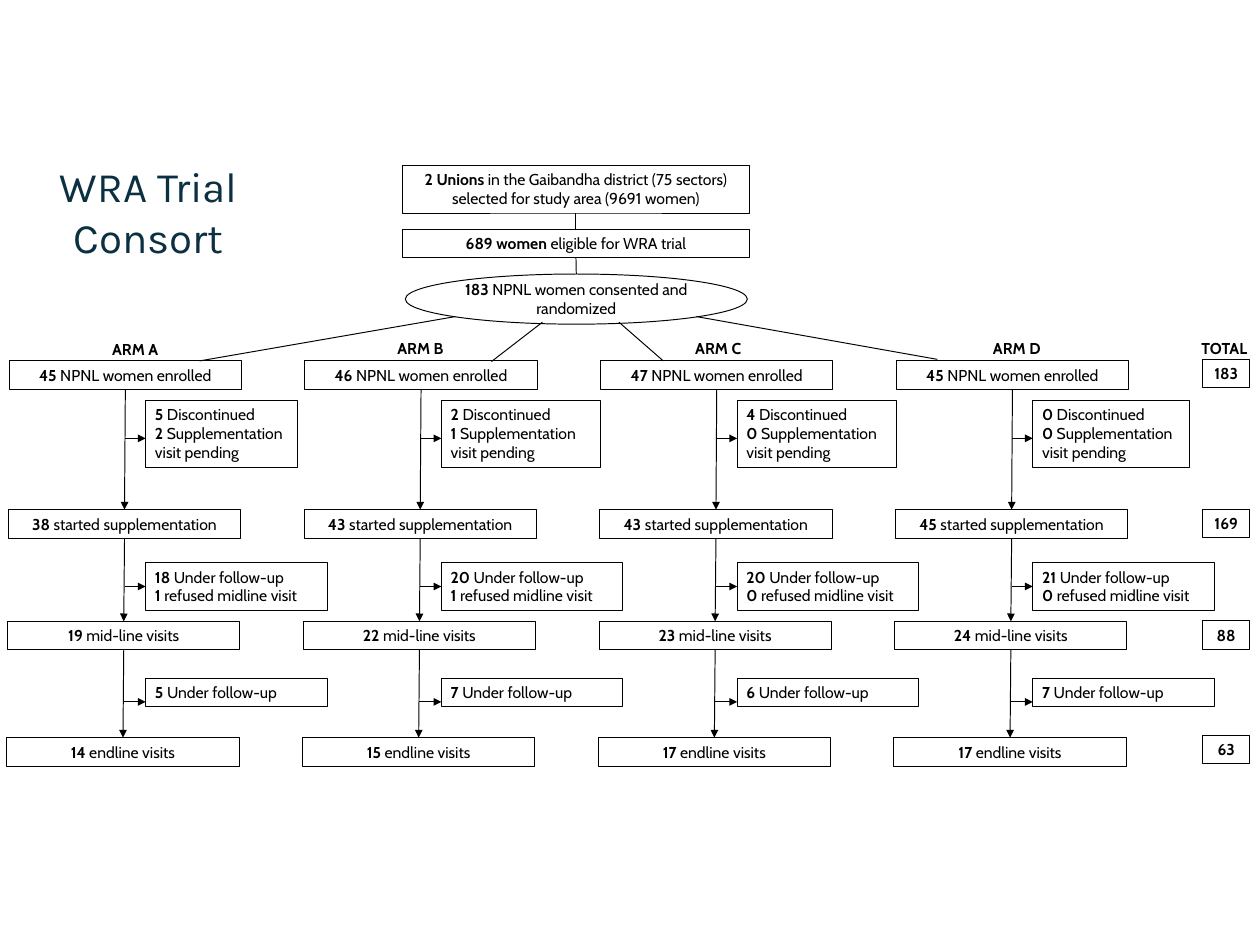
import pptx
import pptx.util
import pptx.dml.color
import pptx.enum.shapes
import pptx.enum.text
import pptx.oxml.ns
import lxml.etree

Pt = pptx.util.Pt
SHAPE = pptx.enum.shapes.MSO_SHAPE
ALIGN = pptx.enum.text.PP_ALIGN
ANCHOR = pptx.enum.text.MSO_ANCHOR
FIT = pptx.enum.text.MSO_AUTO_SIZE
COLORS = {"ink": "000000", "title": "0B3041"}
TOP, LEFT, BOTTOM = 0, 1, 2


def rgb(name):
    return pptx.dml.color.RGBColor.from_string(COLORS[name])


def write(tf, text, size=12, font="Cabin", color="ink", align=ALIGN.CENTER,
          anchor=ANCHOR.TOP, fit=FIT.SHAPE_TO_FIT_TEXT):
    """One paragraph per line; the part of a line before "|" is bold."""
    tf.word_wrap = True
    tf.auto_size = fit
    tf.vertical_anchor = anchor
    for i, line in enumerate(text.split("\n")):
        p = tf.paragraphs[0] if i == 0 else tf.add_paragraph()
        p.alignment = align
        bold, _, plain = line.rpartition("|")
        for part, is_bold in ((bold, True), (plain, False)):
            if part:
                r = p.add_run()
                r.text = part
                r.font.size, r.font.name, r.font.bold = Pt(size), font, is_bold
                r.font.color.rgb = rgb(color)


class Chart:
    """Flow chart style and the current slide."""
    line_width = 0.75

    def __init__(self, slide):
        self.s = slide

    def box(self, text, x, y, w, h, kind=SHAPE.RECTANGLE, **style):
        sp = self.s.shapes.add_shape(kind, Pt(x), Pt(y), Pt(w), Pt(h))
        sp.shadow.inherit = False
        sp.fill.background()
        sp.line.color.rgb = rgb("ink")
        sp.line.width = Pt(self.line_width)
        write(sp.text_frame, text, **style)
        return sp

    def label(self, text, x, y, w, h, **style):
        sp = self.s.shapes.add_textbox(Pt(x), Pt(y), Pt(w), Pt(h))
        write(sp.text_frame, text, **style)

    def line(self, x1=0, y1=0, x2=0, y2=0, begin=None, end=None, arrow=False):
        """begin and end are (shape, side) pairs to join."""
        sp = self.s.shapes.add_connector(
            pptx.enum.shapes.MSO_CONNECTOR.STRAIGHT,
            Pt(x1), Pt(y1), Pt(x2), Pt(y2))
        if begin:
            sp.begin_connect(*begin)
        if end:
            sp.end_connect(*end)
        sp.line.color.rgb = rgb("ink")
        sp.line.width = Pt(self.line_width)
        qn = pptx.oxml.ns.qn
        if arrow:
            ln = sp.line._get_or_add_ln()
            lxml.etree.SubElement(ln, qn("a:tailEnd"), type="triangle")
        lxml.etree.SubElement(sp._element.spPr, qn("a:effectLst"))


# Stages from top to bottom: y, wording, total, y of the total
STAGES = [
    (274.8, "NPNL women enrolled", 183, 273.6),
    (388.3, "started supplementation", 169, 388),
    (473.4, "mid-line visits", 88, 473),
    (562, "endline visits", 63, 560.2),
]
# Losses between stages: y, height, arrow y, wording of each line
LOSSES = [
    (304.8, 51.1, 334, ["Discontinued", "Supplementation visit pending"]),
    (428.7, 36.3, None, ["Under follow-up", "refused midline visit"]),
    (516.6, 21.8, 534.8, ["Under follow-up"]),
]
# Arms: name, label centre, label y, stage counts, loss counts, first loss width
ARMS = [
    ("A", 103, 255.6, [45, 38, 19, 14], [[5, 2], [18, 1], [5]], 116),
    ("B", 320.4, 254.2, [46, 43, 22, 15], [[2, 1], [20, 1], [7]], 121),
    ("C", 547.2, 254.9, [47, 43, 23, 17], [[4, 0], [20, 0], [6]], 121.7),
    ("D", 774.7, 254.9, [45, 45, 24, 17], [[0, 0], [21, 0], [7]], 119.5),
]
PITCH, ARM_X, BOX_W, BOX_H = 225.3, 7, 177, 21.8
LOSS_X, LOSS_W = 111, 138.2

prs = pptx.Presentation()
prs.slide_width, prs.slide_height = Pt(960), Pt(720)
chart = Chart(prs.slides.add_slide(prs.slide_layouts[6]))

# Title
chart.label("WRA Trial Consort", 32.4, 118.8, 162, 84.2, size=32, font="Karla",
            color="title", anchor=ANCHOR.MIDDLE, fit=FIT.NONE)

# Selection and randomization
unions = chart.box("2 Unions |in the Gaibandha district (75 sectors) selected "
                   "for study area (9691 women)", 306.7, 126, 264.3, 36.3)
eligible = chart.box("689 women |eligible for WRA trial",
                     306.7, 174.5, 264.3, BOX_H)
consented = chart.box("183 |NPNL women consented and randomized",
                      308.8, 208.8, 260.6, 38.2, kind=SHAPE.OVAL,
                      anchor=ANCHOR.MIDDLE, fit=FIT.NONE)
chart.line(begin=(unions, BOTTOM), end=(eligible, TOP))
chart.line(begin=(eligible, BOTTOM), end=(consented, TOP))
for ends in ((347, 241.2, 152, 275), (413.3, 245.5, 374.4, 275.5),
             (471.6, 245.5, 505.4, 275), (530.6, 241.2, 714.2, 273.8)):
    chart.line(*ends)

# Arms
for i, (name, centre, label_y, counts, lost, first_w) in enumerate(ARMS):
    chart.label(f"ARM {name}|", centre - 85, label_y, 170, BOX_H)
    stages = [
        chart.box(f"{n}| {words}", ARM_X + PITCH * i - 0.6 * row, y, BOX_W, BOX_H)
        for row, (n, (y, words, _, _)) in enumerate(zip(counts, STAGES))]
    for upper, lower in zip(stages, stages[1:]):
        chart.line(begin=(upper, BOTTOM), end=(lower, TOP), arrow=True)

    for row, (numbers, (y, h, arrow_y, words)) in enumerate(zip(lost, LOSSES)):
        x = LOSS_X + PITCH * i
        text = "\n".join(f"{n} |{w}" for n, w in zip(numbers, words))
        loss = chart.box(text, x, y, LOSS_W if row else first_w, h,
                         align=ALIGN.LEFT)
        stem_x = ARM_X + PITCH * i + BOX_W / 2 - 0.6 * row
        side_y = arrow_y or y + h / 2
        chart.line(stem_x, side_y, x, side_y, arrow=True,
                   end=None if arrow_y else (loss, LEFT))

# Totals
chart.label("TOTAL|", 900, 254.2, 65.5, BOX_H)
for _, _, total, y in STAGES:
    chart.box(f"{total}|", 916.3, y, 36, BOX_H)

prs.save("out.pptx")
